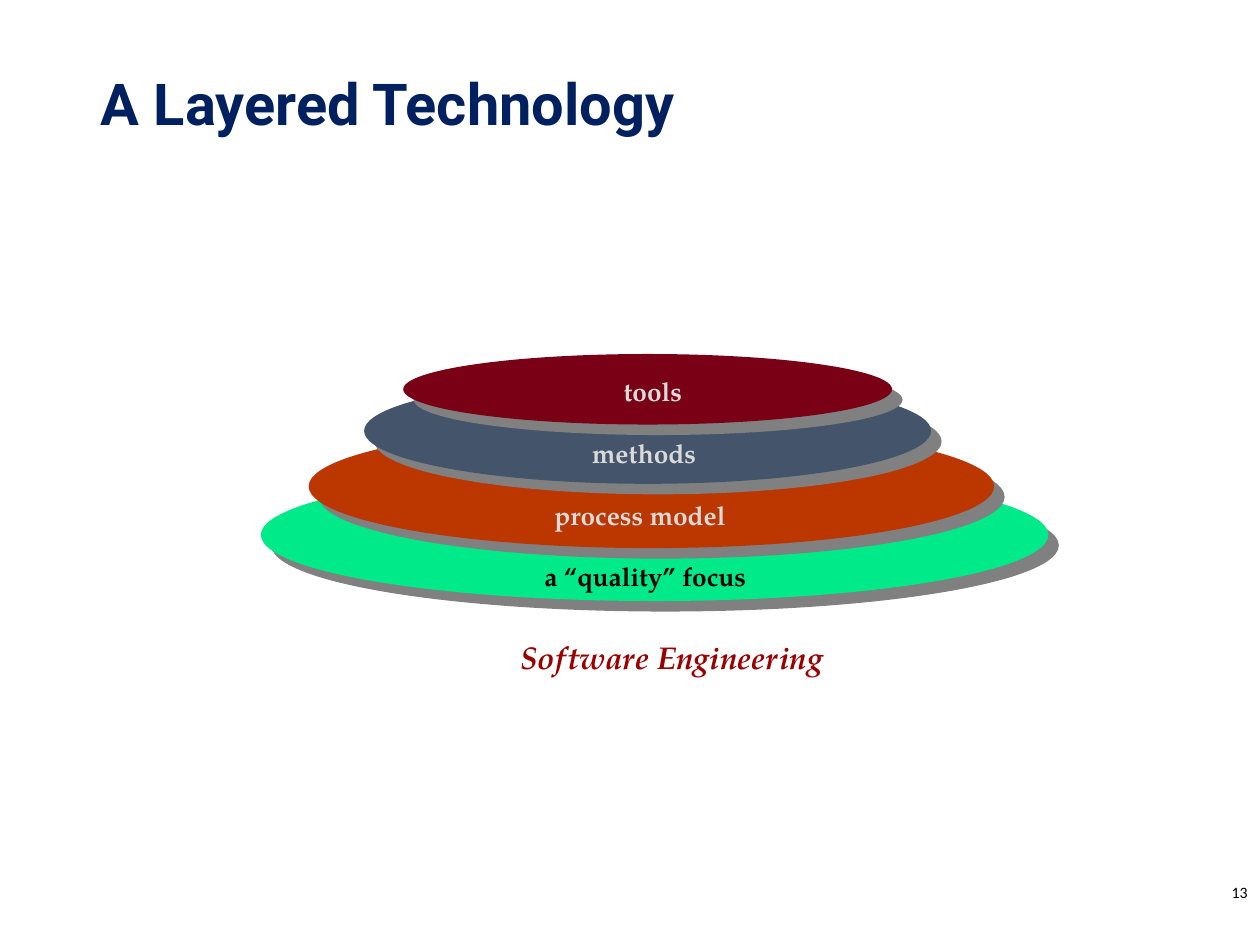
from lxml.etree import SubElement
from pptx import Presentation
from pptx.dml.color import RGBColor
from pptx.enum.shapes import MSO_SHAPE as Shape
from pptx.enum.text import MSO_ANCHOR as Anchor, PP_ALIGN as Align
from pptx.oxml.ns import qn
from pptx.util import Inches, Pt

COLORS = {
    "title": "002060", "caption": "9A0000", "black": "000000", "light": "DADADA",
    "quality": "01EA89", "process": "BC3700", "methods": "44546A", "tools": "790015",
    "shadow": "808080",
}
SERIF = "TeX Gyre Pagella"


def add_text(page, text, left, top, width, height, *, size, color, font=SERIF,
             bold=True, italic=False, align=Align.LEFT, anchor=Anchor.TOP,
             insets=(0.07, 0.04), wrap=False, spacing=1.0):
    box = page.shapes.add_textbox(*map(Inches, (left, top, width, height)))
    frame = box.text_frame
    frame.word_wrap = wrap
    frame.vertical_anchor = anchor
    frame.margin_left = frame.margin_right = Inches(insets[0])
    frame.margin_top = frame.margin_bottom = Inches(insets[1])
    para = frame.paragraphs[0]
    para.alignment = align
    para.line_spacing = spacing
    span = para.add_run()
    span.text = text
    span.font.name = font
    span.font.size = Pt(size)
    span.font.bold = bold
    span.font.italic = italic
    span.font.color.rgb = RGBColor.from_string(COLORS[color])


def add_layer(page, left, top, width, height, color):
    """Add an ellipse with a hard shadow to its lower right."""
    layer = page.shapes.add_shape(Shape.OVAL, *map(Inches, (left, top, width, height)))
    layer.fill.solid()
    layer.fill.fore_color.rgb = RGBColor.from_string(COLORS[color])
    layer.line.fill.background()
    layer.shadow.inherit = False
    effects = layer._element.spPr.find(qn("a:effectLst"))
    shadow = SubElement(effects, qn("a:outerShdw"), blurRad="0", dist=str(Pt(8.5)),
                        dir=str(45 * 60000), algn="ctr", rotWithShape="0")
    SubElement(shadow, qn("a:srgbClr"), val=COLORS["shadow"])


deck = Presentation()
deck.slide_width, deck.slide_height = Inches(10), Inches(7.5)
page = deck.slides.add_slide(deck.slide_layouts[6])

add_text(page, "A Layered Technology", 0.75, 0.58, 7.13, 0.54, size=33, color="title",
         font="Roboto", insets=(0.05, 0.02), wrap=True, spacing=0.9)
add_text(page, "13", 8.58, 6.83, 1.42, 0.5, size=9, color="black", font="Calibri",
         bold=False, align=Align.RIGHT, anchor=Anchor.MIDDLE, insets=(0.1, 0.05), wrap=True)
add_text(page, "Software Engineering", 4.06, 5.06, 2.74, 0.35, size=18,
         color="caption", italic=True, spacing=0.9)

# Layers from the bottom of the stack to the top
for ellipse in [
    (2.07, 3.72, 6.25, 1.05, "quality"),
    (2.45, 3.37, 5.44, 0.98, "process"),
    (2.89, 3.00, 4.50, 0.84, "methods"),
    (3.20, 2.81, 3.88, 0.56, "tools"),
]:
    add_layer(page, *ellipse)

LABEL_BOTTOM, LABEL_STEP = 4.41, 0.49
labels = [
    ("a “quality” focus", 4.25, 1.83, "black"),
    ("process model", 4.33, 1.63, "light"),
    ("methods", 4.63, 1.03, "light"),
    ("tools", 4.88, 0.65, "light"),
]
for level, (text, left, width, color) in enumerate(labels):
    add_text(page, text, left, LABEL_BOTTOM - level * LABEL_STEP, width, 0.33,
             size=15, color=color)

deck.save("out.pptx")
